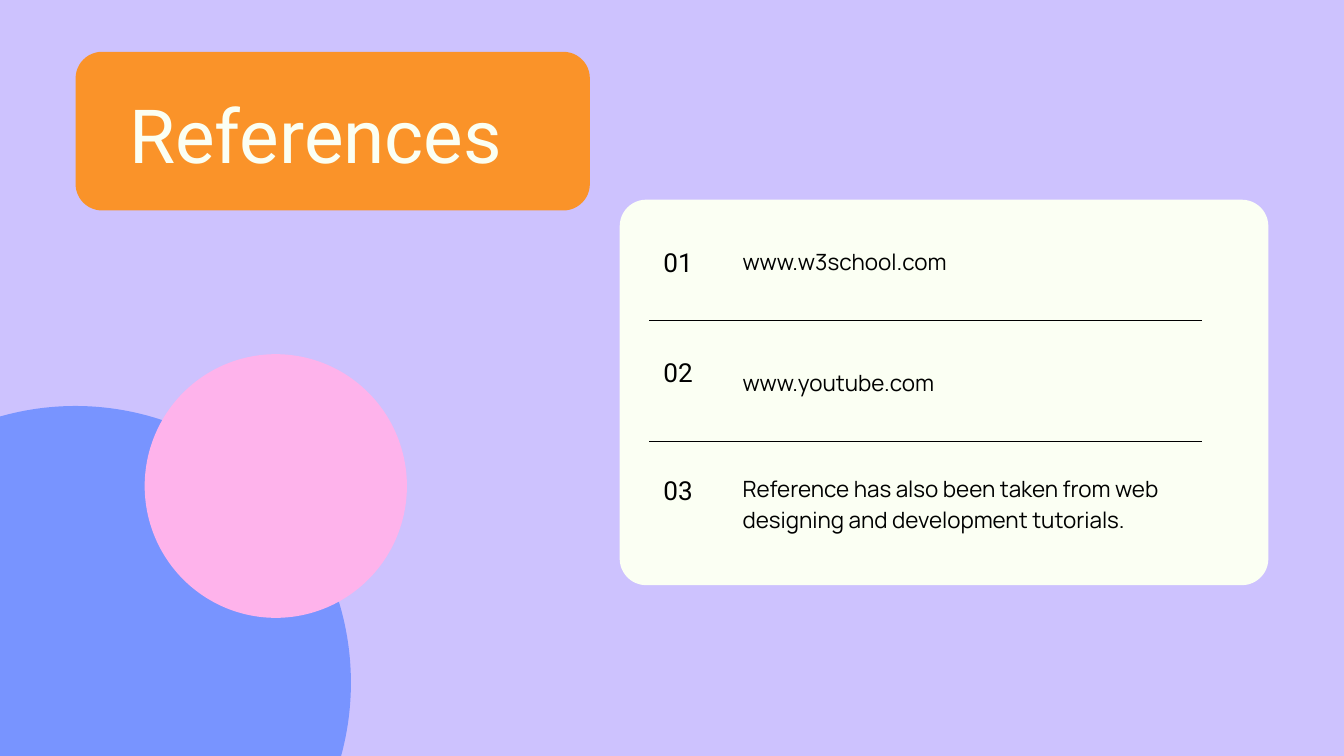
from lxml import etree
from pptx import Presentation
from pptx.dml.color import RGBColor
from pptx.enum import shapes, text
from pptx.oxml.ns import qn
from pptx.util import Pt

COLORS = {
    "background": "CDC2FE",
    "blue": "7894FF",
    "pink": "FEB3EB",
    "orange": "FA9329",
    "cream": "FBFFF3",
    "black": "000000",
}
CORNER_RADIUS = 28.4
TITLE = {"name": "Roboto", "size": 80, "color": "cream", "spacing": 96}
NUMBER = {"name": "Roboto", "size": 28, "color": "black", "spacing": 39.2}
ENTRY = {"name": "Manrope", "size": 24, "color": "black", "spacing": 33.6}

# Number top, entry top and entry height, measured from the panel top
REFERENCES = [
    ("www.w3school.com", 43.9, 46.8, 32),
    ("www.youtube.com", 162, 176.4, 32),
    ("Reference has also been taken from web designing and development tutorials.",
     288.7, 290.2, 65),
]


def rgb(name):
    return RGBColor.from_string(COLORS[name])


def place(shape, left, top, width, height):
    box = {"left": left, "top": top, "width": width, "height": height}
    for name, value in box.items():
        setattr(shape, name, Pt(value))


def write(shape, words, style):
    frame = shape.text_frame
    settings = {
        "margin_left": 0, "margin_top": 0, "margin_right": 0, "margin_bottom": 0,
        "word_wrap": True,
        "auto_size": text.MSO_AUTO_SIZE.NONE,
        "vertical_anchor": text.MSO_ANCHOR.TOP,
    }
    for name, value in settings.items():
        setattr(frame, name, value)
    frame.text = words
    paragraph = frame.paragraphs[0]
    paragraph.alignment = text.PP_ALIGN.LEFT
    paragraph.space_before = Pt(0)
    paragraph.line_spacing = Pt(style["spacing"])
    font = paragraph.runs[0].font
    font.name = style["name"]
    font.size = Pt(style["size"])
    font.color.rgb = rgb(style["color"])


def add_text(slide, box, words, style):
    write(slide.shapes.add_textbox(*map(Pt, box)), words, style)


def add_filled(slide, kind, box, color):
    shape = slide.shapes.add_shape(kind, *map(Pt, box))
    shape.shadow.inherit = False
    shape.fill.solid()
    shape.fill.fore_color.rgb = rgb(color)
    shape.line.fill.background()
    return shape


def add_card(slide, box, color):
    card = add_filled(slide, shapes.MSO_SHAPE.ROUNDED_RECTANGLE, box, color)
    card.adjustments[0] = CORNER_RADIUS / min(box[2:])


def add_rule(slide, left, right, top):
    rule = slide.shapes.add_connector(
        shapes.MSO_CONNECTOR.STRAIGHT, Pt(left), Pt(top), Pt(right), Pt(top))
    rule.line.color.rgb = rgb("black")
    rule.line.width = Pt(0.75)
    etree.SubElement(rule.element.spPr, qn("a:effectLst"))


def add_circles(slide, left, top):
    """Place the large circle at the given corner and the small one over it."""
    oval = shapes.MSO_SHAPE.OVAL
    add_filled(slide, oval, (left, top, 590.5, 593), "blue")
    add_filled(slide, oval, (left + 369.5, top - 55.5, 281, 282.5), "pink")


def add_title(slide, box):
    left, top, width, _ = box
    add_card(slide, box, "orange")
    title = slide.shapes.title
    place(title, left + 57.5, top + 39.5, width - 96, 96.5)
    write(title, "References", TITLE)
    slide.shapes.element.append(title.element)  # bring in front of the card


def add_references(slide, box):
    left, top, _, _ = box
    add_card(slide, box, "cream")
    for index, (words, number_top, entry_top, height) in enumerate(REFERENCES):
        if index:
            add_rule(slide, left + 31.5, left + 623.5, top + 129.6 * index)
        add_text(slide, (left + 46.8, top + number_top, 65.5, 38),
                 f"{index + 1:02d}", NUMBER)
        add_text(slide, (left + 131.6, top + entry_top, 492.5, height), words, ENTRY)


def main():
    presentation = Presentation()
    presentation.slide_width, presentation.slide_height = Pt(1440), Pt(810)
    slide = presentation.slides.add_slide(presentation.slide_layouts[5])
    slide.background.fill.solid()
    slide.background.fill.fore_color.rgb = rgb("background")
    add_circles(slide, -214.5, 435)
    add_title(slide, (81, 55.5, 551, 170))
    add_references(slide, (664, 214, 695, 413))
    presentation.save("out.pptx")


if __name__ == "__main__":
    main()
